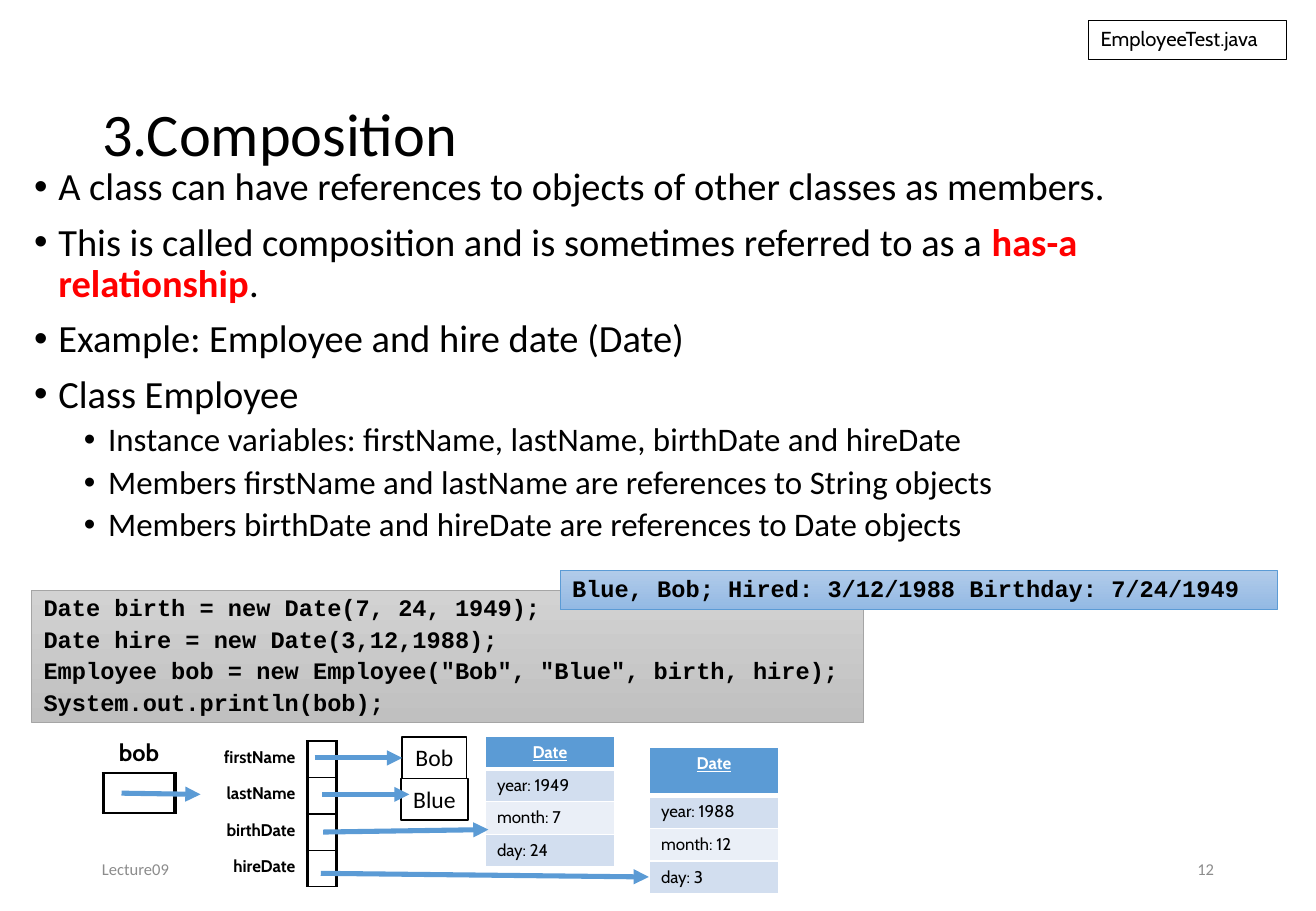
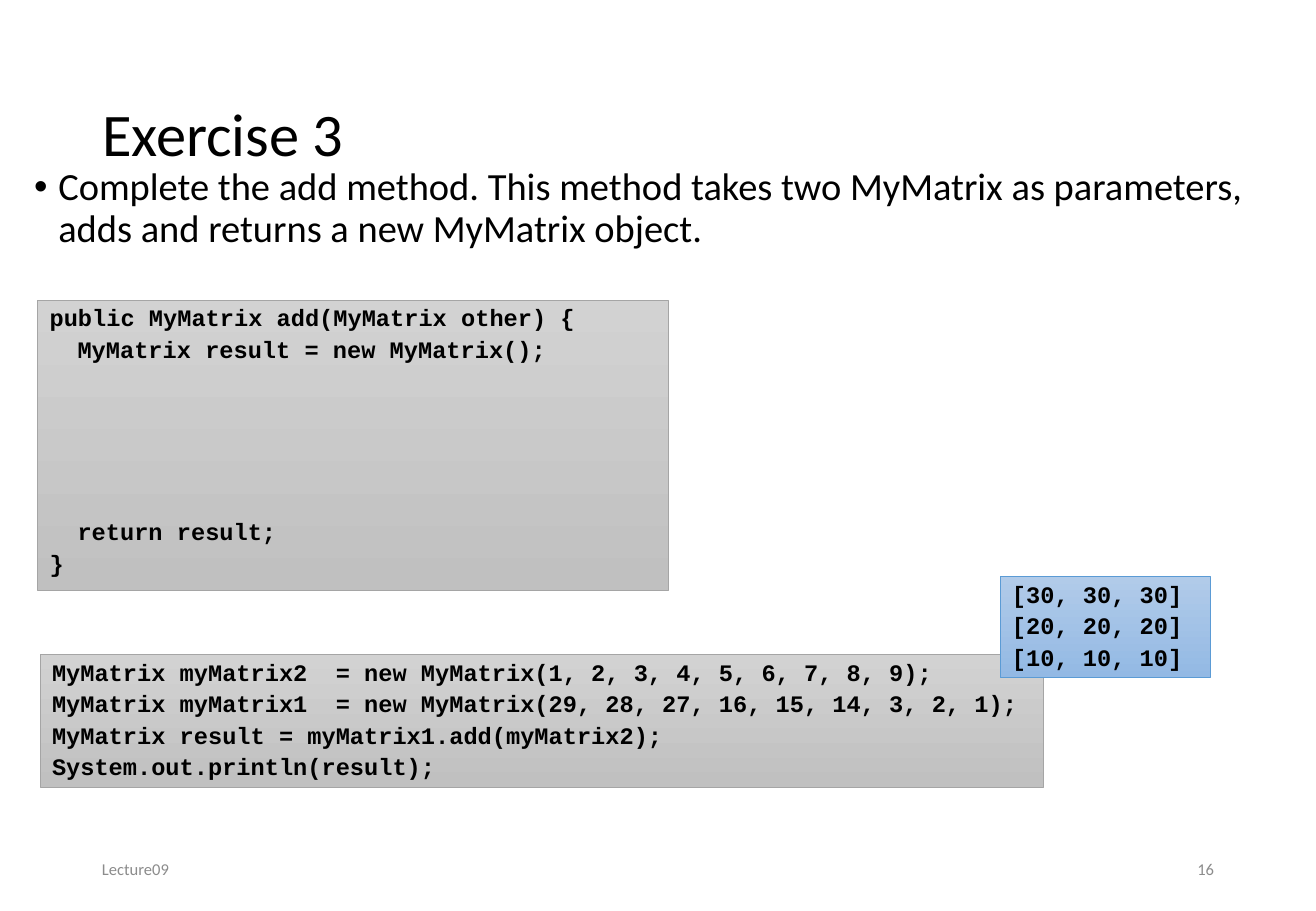
from dataclasses import dataclass

import lxml.etree
import pptx
import pptx.dml.color
import pptx.enum.shapes
import pptx.enum.text
import pptx.oxml.ns
import pptx.util

# Shared scale and theme
EMU_PER_PX = 9144  # 100 px to the inch
BODY_FONT, LABEL_FONT, CODE_FONT = "Calibri", "Cabin", "Courier New"
BLACK, WHITE, RED, BLUE, FOOTER_GREY = "000000", "FFFFFF", "FF0000", "5B9BD5", "8C8C8C"
BAND_DARK, BAND_LIGHT = "D2DEEF", "EAEFF7"
NO_STYLE_TABLE = "{2D5ABB26-0587-4C30-8999-92F81FD0307C}"

ALIGN = pptx.enum.text.PP_ALIGN
ANCHOR = pptx.enum.text.MSO_ANCHOR
RECTANGLE = pptx.enum.shapes.MSO_SHAPE.RECTANGLE
qn = pptx.oxml.ns.qn


@dataclass(frozen=True)
class Box:
    left: int
    top: int
    width: int
    height: int

    def emu(self) -> tuple:
        return tuple(px(n) for n in (self.left, self.top, self.width, self.height))


@dataclass(frozen=True)
class Bullet:
    text: str  # words between asterisks are emphasised
    level: int = 0


@dataclass(frozen=True)
class BulletStyle:
    size: float
    space_before: float
    indent: int


@dataclass(frozen=True)
class Panel:
    top_color: str
    bottom_color: str
    line_color: str


@dataclass(frozen=True)
class CodeLine:
    text: str
    indent: int = 0
    space_before: float = 3.6


@dataclass(frozen=True)
class DateObject:
    box: Box
    header_height: int
    rows: tuple


@dataclass(frozen=True)
class Arrow:
    x1: int
    y1: int
    x2: int
    y2: int


BULLET_STYLES = (BulletStyle(22.8, 8.1, 20), BulletStyle(19.5, 4.1, 61))
CODE_PANEL = Panel("D2D2D2", "C0C0C0", "A5A5A5")
OUTPUT_PANEL = Panel("B1CBE9", "93B9E4", BLUE)


def px(length: int) -> int:
    return pptx.util.Emu(length * EMU_PER_PX)


def color(value: str):
    return pptx.dml.color.RGBColor.from_string(value)


def set_font(font, name: str, size: float, value: str = BLACK, bold: bool = False) -> None:
    font.name, font.size, font.bold = name, pptx.util.Pt(size), bold
    font.color.rgb = color(value)


def write_line(frame, text: str, name: str, size: float, value: str = BLACK,
               bold: bool = False, align=ALIGN.LEFT):
    """Fill the first paragraph of a text frame."""
    paragraph = frame.paragraphs[0]
    paragraph.alignment = align
    paragraph.text = text
    set_font(paragraph.font, name, size, value, bold)
    return paragraph


# Placeholders and footer
def place(shape, box: Box) -> None:
    shape.left, shape.top, shape.width, shape.height = box.emu()
    shape.text_frame.word_wrap = True
    shape.text_frame.auto_size = pptx.enum.text.MSO_AUTO_SIZE.NONE


def add_bullet(paragraph, bullet: Bullet) -> None:
    style = BULLET_STYLES[bullet.level]
    paragraph.level = bullet.level
    properties = paragraph._p.get_or_add_pPr()
    properties.set("marL", str(px(style.indent)))
    properties.set("indent", str(px(-20)))
    lxml.etree.SubElement(properties, qn("a:buFont"), typeface="Arial")
    lxml.etree.SubElement(properties, qn("a:buChar"), char="•")
    paragraph.alignment = ALIGN.LEFT
    paragraph.line_spacing = 0.9
    paragraph.space_before = pptx.util.Pt(style.space_before)
    set_font(paragraph.font, BODY_FONT, style.size)
    for index, part in enumerate(bullet.text.split("*")):
        run = paragraph.add_run()
        run.text = part
        if index % 2:
            run.font.bold = True
            run.font.color.rgb = color(RED)


def add_footer(slide, left: int, text: str, align) -> None:
    shape = slide.shapes.add_textbox(*Box(left, 695, 244, 40).emu())
    shape.text_frame.word_wrap = True
    shape.text_frame.vertical_anchor = ANCHOR.MIDDLE
    write_line(shape.text_frame, text, BODY_FONT, 9.8, FOOTER_GREY, align=align)


def add_slide(presentation, title: str, bullets: list, number: int):
    slide = presentation.slides.add_slide(presentation.slide_layouts[1])
    heading, body = slide.shapes.title, slide.placeholders[1]
    place(heading, Box(74, 40, 934, 145))
    heading.text_frame.vertical_anchor = ANCHOR.MIDDLE
    write_line(heading.text_frame, title, BODY_FONT, 35.8).line_spacing = 0.9
    place(body, Box(18, 133, 1038, 344))
    body.text_frame.vertical_anchor = ANCHOR.TOP
    for index, bullet in enumerate(bullets):
        frame = body.text_frame
        add_bullet(frame.add_paragraph() if index else frame.paragraphs[0], bullet)
    add_footer(slide, 74, "Lecture09", ALIGN.LEFT)
    add_footer(slide, 765, str(number), ALIGN.RIGHT)
    return slide


# Boxes
def add_rectangle(slide, box: Box, line_color: str, line_width: float):
    shape = slide.shapes.add_shape(RECTANGLE, *box.emu())
    shape.shadow.inherit = False
    shape.line.color.rgb = color(line_color)
    shape.line.width = pptx.util.Pt(line_width)
    shape.text_frame.vertical_anchor = ANCHOR.TOP
    shape.text_frame.word_wrap = True
    return shape


def add_label(slide, box: Box, text: str, name: str, size: float, line_width: float, align):
    shape = add_rectangle(slide, box, BLACK, line_width)
    shape.fill.solid()
    shape.fill.fore_color.rgb = color(WHITE)
    shape.text_frame.word_wrap = align == ALIGN.LEFT
    write_line(shape.text_frame, text, name, size, align=align)
    return shape


def add_code(slide, box: Box, panel: Panel, lines: list) -> None:
    shape = add_rectangle(slide, box, panel.line_color, 0.5)
    shape.fill.gradient()
    shape.fill.gradient_angle = 270
    for stop, value in zip(shape.fill.gradient_stops, (panel.top_color, panel.bottom_color)):
        stop.color.rgb = color(value)
    for index, line in enumerate(lines):
        frame = shape.text_frame
        paragraph = frame.add_paragraph() if index else frame.paragraphs[0]
        paragraph.text = line.text
        paragraph.alignment = ALIGN.LEFT
        paragraph.line_spacing = 0.9
        paragraph.space_before = pptx.util.Pt(line.space_before)
        paragraph._p.get_or_add_pPr().set("marL", str(px(line.indent)))
        set_font(paragraph.font, CODE_FONT, 14, bold=True)


# Tables
def add_table(slide, box: Box, columns: tuple, rows: tuple):
    table = slide.shapes.add_table(len(rows), len(columns), *box.emu()).table
    table._tbl.tblPr[0].text = NO_STYLE_TABLE
    table.first_row = table.horz_banding = False
    for column, width in zip(table.columns, columns):
        column.width = px(width)
    for row, height in zip(table.rows, rows):
        row.height = px(height)
    return table


def set_cell(cell, text: str, size: float, value: str = BLACK, bold: bool = False,
             align=ALIGN.LEFT, borders: dict | None = None, fill: str = ""):
    properties = cell._tc.get_or_add_tcPr()
    for side, (value_of_line, width) in (borders or {}).items():
        line = lxml.etree.SubElement(properties, qn(f"a:ln{side}"), w=str(pptx.util.Pt(width)))
        solid = lxml.etree.SubElement(line, qn("a:solidFill"))
        lxml.etree.SubElement(solid, qn("a:srgbClr"), val=value_of_line)
    if fill:
        cell.fill.solid()
        cell.fill.fore_color.rgb = color(fill)
    else:
        cell.fill.background()
    return write_line(cell.text_frame, text, LABEL_FONT, size, value, bold, align)


REFERENCE_BORDERS = {"L": (BLACK, 2.25), "R": (BLACK, 2.25), "T": (BLACK, 1), "B": (BLACK, 1)}


def add_field_table(slide, fields: tuple) -> None:
    heights = (31,) + (30,) * len(fields)
    table = add_table(slide, Box(147, 579, 129, sum(heights)), (106, 23), heights)
    for row, field in enumerate(("",) + fields):
        set_cell(table.cell(row, 0), field, 10, bold=True, align=ALIGN.RIGHT)
        set_cell(table.cell(row, 1), "", 10, borders=REFERENCE_BORDERS if field else None)


def add_variable_table(slide, name: str) -> None:
    table = add_table(slide, Box(26, 603, 118, 66), (59, 59), (33, 33))
    set_cell(table.cell(0, 0), "", 10)
    set_cell(table.cell(0, 1), name, 14, bold=True, align=ALIGN.CENTER)
    set_cell(table.cell(1, 0), "", 10)
    set_cell(table.cell(1, 1), "", 10, borders=REFERENCE_BORDERS)


def add_date_table(slide, date: DateObject) -> None:
    heights = (date.header_height,) + (27,) * len(date.rows)
    table = add_table(slide, date.box, (date.box.width,), heights)
    for row, text in enumerate(("Date",) + date.rows):
        borders = {side: (WHITE, 1) for side in "LRTB"}
        if row < 2:
            borders["T" if row else "B"] = (WHITE, 3)
        if row:
            fill = BAND_DARK if row % 2 else BAND_LIGHT
            set_cell(table.cell(row, 0), text, 10, borders=borders, fill=fill)
        else:
            header = set_cell(table.cell(row, 0), text, 10, WHITE, True, ALIGN.CENTER, borders, BLUE)
            header.font.underline = True


def add_arrow(slide, arrow: Arrow):
    ends = (px(n) for n in (arrow.x1, arrow.y1, arrow.x2, arrow.y2))
    connector = slide.shapes.add_connector(pptx.enum.shapes.MSO_CONNECTOR.STRAIGHT, *ends)
    connector.line.color.rgb = color(BLUE)
    connector.line.width = pptx.util.Pt(3)
    lxml.etree.SubElement(connector.line._get_or_add_ln(), qn("a:tailEnd"), type="triangle")
    lxml.etree.SubElement(connector._element.spPr, qn("a:effectLst"))
    return connector


# Slides
def build_composition(presentation) -> None:
    slide = add_slide(presentation, "3.Composition", [
        Bullet("A class can have references to objects of other classes as members."),
        Bullet("This is called composition and is sometimes referred to as a *has-a relationship*."),
        Bullet("Example: Employee and hire date (Date)"),
        Bullet("Class Employee"),
        Bullet("Instance variables: firstName, lastName, birthDate and hireDate", 1),
        Bullet("Members firstName and lastName are references to String objects", 1),
        Bullet("Members birthDate and hireDate are references to Date objects", 1),
    ], 12)
    add_code(slide, Box(26, 486, 685, 109), CODE_PANEL, [
        CodeLine("Date birth = new Date(7, 24, 1949);"),
        CodeLine("Date hire = new Date(3,12,1988);"),
        CodeLine('Employee bob = new Employee("Bob", "Blue", birth, hire);'),
        CodeLine("System.out.println(bob);"),
    ])
    add_code(slide, Box(461, 470, 590, 32), OUTPUT_PANEL,
             [CodeLine("Blue, Bob; Hired: 3/12/1988 Birthday: 7/24/1949")])
    add_label(slide, Box(896, 17, 163, 32), "EmployeeTest.java", LABEL_FONT, 12, 0.75, ALIGN.LEFT)

    # Object diagram
    add_field_table(slide, ("firstName", "lastName", "birthDate", "hireDate"))
    add_variable_table(slide, "bob")
    first_name = add_label(slide, Box(331, 607, 53, 34), "Bob", BODY_FONT, 14, 1, ALIGN.CENTER)
    add_label(slide, Box(330, 641, 55, 34), "Blue", BODY_FONT, 14, 1, ALIGN.CENTER)
    for date in (DateObject(Box(399, 606, 107, 108), 27, ("year: 1949", "month: 7", "day: 24")),
                 DateObject(Box(534, 615, 107, 121), 40, ("year: 1988", "month: 12", "day: 3"))):
        add_date_table(slide, date)
    add_arrow(slide, Arrow(259, 624, 331, 624)).end_connect(first_name, 1)
    for arrow in (Arrow(265, 654, 337, 654), Arrow(266, 685, 402, 683),
                  Arrow(264, 719, 534, 722), Arrow(100, 653, 165, 654)):
        add_arrow(slide, arrow)


def build_exercise(presentation) -> None:
    slide = add_slide(presentation, "Exercise 3", [
        Bullet("Complete the add method. This method takes two MyMatrix as parameters, "
               "adds and returns a new MyMatrix object."),
    ], 16)
    add_code(slide, Box(31, 247, 519, 239), CODE_PANEL, [
        CodeLine("public MyMatrix add(MyMatrix other) {"),
        CodeLine("MyMatrix result = new MyMatrix();", 23),
        CodeLine("return result;", 23, 93),
        CodeLine("}"),
    ])
    add_code(slide, Box(33, 539, 826, 109), CODE_PANEL, [
        CodeLine("MyMatrix myMatrix2  = new MyMatrix(1, 2, 3, 4, 5, 6, 7, 8, 9);"),
        CodeLine("MyMatrix myMatrix1  = new MyMatrix(29, 28, 27, 16, 15, 14, 3, 2, 1);"),
        CodeLine("MyMatrix result = myMatrix1.add(myMatrix2);"),
        CodeLine("System.out.println(result);"),
    ])
    add_code(slide, Box(823, 475, 173, 83), OUTPUT_PANEL,
             [CodeLine(f"[{n}, {n}, {n}]") for n in (30, 20, 10)])


def main() -> None:
    presentation = pptx.Presentation()
    presentation.slide_width, presentation.slide_height = px(1083), px(750)
    build_composition(presentation)
    build_exercise(presentation)
    presentation.save("out.pptx")


if __name__ == "__main__":
    main()
